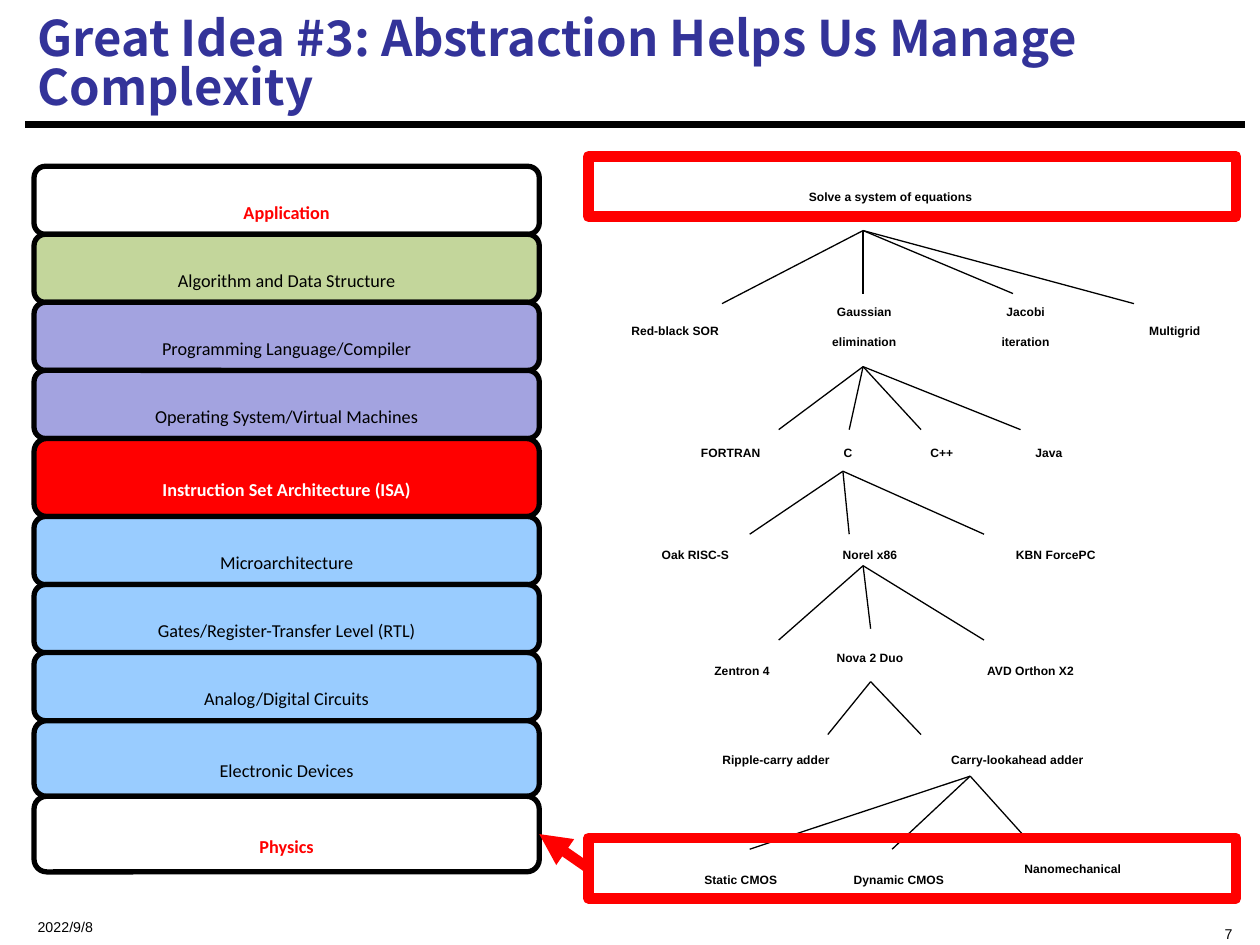
from lxml.etree import SubElement
from pptx import Presentation
from pptx.dml.color import RGBColor
from pptx.enum.shapes import MSO_CONNECTOR, MSO_SHAPE
from pptx.enum.text import MSO_ANCHOR, MSO_AUTO_SIZE, PP_ALIGN
from pptx.oxml.ns import qn
from pptx.util import Cm, Pt

BLACK, WHITE, RED, NAVY = "000000", "FFFFFF", "FF0000", "333399"
GREEN, VIOLET, SKY = "C3D69B", "A3A3E0", "99CCFF"

TITLE = "Great Idea #3: Abstraction Helps Us Manage Complexity"

# Abstraction layers, top to bottom: name, fill, text colour, bold, height
LAYERS = [
    ("Application", WHITE, RED, True, 0.54),
    ("Algorithm and Data Structure", GREEN, BLACK, False, 0.54),
    ("Programming Language/Compiler", VIOLET, BLACK, False, 0.54),
    ("Operating System/Virtual Machines", VIOLET, BLACK, False, 0.54),
    ("Instruction Set Architecture (ISA)", RED, WHITE, True, 0.62),
    ("Microarchitecture", SKY, BLACK, False, 0.54),
    ("Gates/Register-Transfer Level (RTL)", SKY, BLACK, False, 0.54),
    ("Analog/Digital Circuits", SKY, BLACK, False, 0.54),
    ("Electronic Devices", SKY, BLACK, False, 0.6),
    ("Physics", WHITE, RED, True, 0.6),
]
LAYER_LEFT, LAYER_TOP, LAYER_WIDTH = 0.27, 1.32, 4.01

# Choices in the tree: top of the row, then text, left and width
CHOICES = [
    (1.33, [("Solve a system of equations", 5.62, 2.9)]),
    (2.24, [("Gaussian\nelimination", 6.22, 1.28), ("Jacobi\niteration", 7.63, 1.02)]),
    (2.39, [("Red-black SOR", 4.53, 1.66), ("Multigrid", 8.79, 1.07)]),
    (3.36, [("FORTRAN", 5.2, 1.2), ("C", 6.54, 0.38), ("C++", 7.17, 0.61),
            ("Java", 7.99, 0.67)]),
    (4.17, [("Oak RISC-S", 4.85, 1.34), ("Norel x86", 6.39, 1.03),
            ("KBN ForcePC", 7.62, 1.52)]),
    (4.99, [("Nova 2 Duo", 6.26, 1.29)]),
    (5.09, [("Zentron 4", 5.3, 1.18), ("AVD Orthon X2", 7.35, 1.66)]),
    (5.8, [("Ripple-carry adder", 5.17, 1.98), ("Carry-lookahead adder", 6.88, 2.39)]),
    (6.75, [("Static CMOS", 5.17, 1.42), ("Dynamic CMOS", 6.28, 1.71)]),
    (6.66, [("Nanomechanical", 7.61, 1.81)]),
]

# Branches: apex, then the ends that fan out from it
BRANCHES = [
    ((6.85, 1.83), [(5.73, 2.41), (6.85, 2.33), (8.04, 2.33), (9, 2.41)]),
    ((6.85, 2.91), [(6.18, 3.41), (6.74, 3.41), (7.31, 3.41), (8.1, 3.41)]),
    ((6.69, 3.74), [(5.95, 4.24), (6.74, 4.24), (7.81, 4.24)]),
    ((6.85, 4.49), [(6.18, 5.08), (6.91, 4.99), (7.81, 5.08)]),
    ((6.91, 5.41), [(6.57, 5.83), (7.31, 5.83)]),
    ((7.7, 6.16), [(5.95, 6.74), (7.08, 6.74), (8.15, 6.66)]),
]


def inch(value):
    return Cm(value * 2.54)


def color(value):
    return RGBColor.from_string(value)


def write(shape, text, size, font, ink, bold=False, align=PP_ALIGN.CENTER,
          anchor=MSO_ANCHOR.MIDDLE, wrap=False, subscript=True):
    frame = shape.text_frame
    frame.text = text
    frame.word_wrap = wrap
    frame.vertical_anchor = anchor
    for para in frame.paragraphs:
        para.alignment = align
        for span in para.runs:
            span.font.size = Pt(size)
            span.font.name = font
            span.font.bold = bold
            span.font.color.rgb = color(ink)
            properties = span.font._element
            SubElement(properties, qn("a:ea")).set("typeface", font)
            if subscript:
                properties.set("baseline", "-33000")
    return frame


def add_text(page, at, *args, **options):
    box = page.shapes.add_textbox(*map(inch, at))
    return write(box, *args, **options)


def add_box(page, kind, at, line, width, fill=None):
    box = page.shapes.add_shape(kind, *map(inch, at))
    box.shadow.inherit = False
    box.line.color.rgb = color(line)
    box.line.width = Pt(width)
    if fill:
        box.fill.solid()
        box.fill.fore_color.rgb = color(fill)
    else:
        box.fill.background()
    return box


def add_line(page, start, end, ink, width):
    line = page.shapes.add_connector(MSO_CONNECTOR.STRAIGHT, *map(inch, start + end))
    line.line.color.rgb = color(ink)
    line.line.width = Pt(width)
    SubElement(line._element.spPr, qn("a:effectLst"))
    return line


def main():
    deck = Presentation()
    deck.slide_width, deck.slide_height = inch(10), inch(7.5)
    page = deck.slides.add_slide(deck.slide_layouts[6])

    # Heading and footer
    add_line(page, (0.2, 0.99), (9.88, 0.99), BLACK, 3.75)
    frame = add_text(page, (0.2, 0.08, 9.67, 0.84), TITLE, 28, "Noto Sans CJK SC", NAVY,
                     bold=True, align=PP_ALIGN.LEFT, wrap=True, subscript=False)
    frame.margin_top, frame.margin_bottom = inch(0.06), 0
    frame.paragraphs[0].line_spacing = 0.83
    add_text(page, (0.2, 7.15, 2.5, 0.27), "2022/9/8", 14, "Arial", BLACK,
             align=PP_ALIGN.LEFT, wrap=True)
    add_text(page, (6.88, 7.15, 3, 0.27), "7", 14, "Arial", BLACK,
             align=PP_ALIGN.RIGHT, anchor=MSO_ANCHOR.TOP, wrap=True)

    # Tree of choices
    for top, row in CHOICES:
        for text, left, width in row:
            height = 0.51 if "\n" in text else 0.3
            frame = add_text(page, (left, top, width, height), text, 12, "Arial", BLACK,
                             bold=True, anchor=MSO_ANCHOR.TOP)
            frame.auto_size = MSO_AUTO_SIZE.SHAPE_TO_FIT_TEXT
    for apex, ends in BRANCHES:
        for end in ends:
            add_line(page, apex, end, BLACK, 0.75)

    # Frames around the two ends of the tree
    bottom_frame, _ = [add_box(page, MSO_SHAPE.RECTANGLE, (4.67, top, 5.14, 0.48), RED, 6)
                       for top in (6.65, 1.24)]

    # Stack of layers
    top = LAYER_TOP
    for name, fill, ink, bold, height in LAYERS:
        layer = add_box(page, MSO_SHAPE.ROUNDED_RECTANGLE,
                        (LAYER_LEFT, top, LAYER_WIDTH, height), BLACK, 3, fill)
        write(layer, name, 18, "Calibri", ink, bold)
        top += height

    # Arrow from the bottom frame to the last layer
    arrow = add_line(page, (4.67, 6.89), (4.28, 6.62), RED, 6)
    arrow.begin_connect(bottom_frame, 1)
    arrow.end_connect(layer, 3)
    SubElement(arrow.line._get_or_add_ln(), qn("a:tailEnd")).set("type", "triangle")

    deck.save("out.pptx")


if __name__ == "__main__":
    main()
